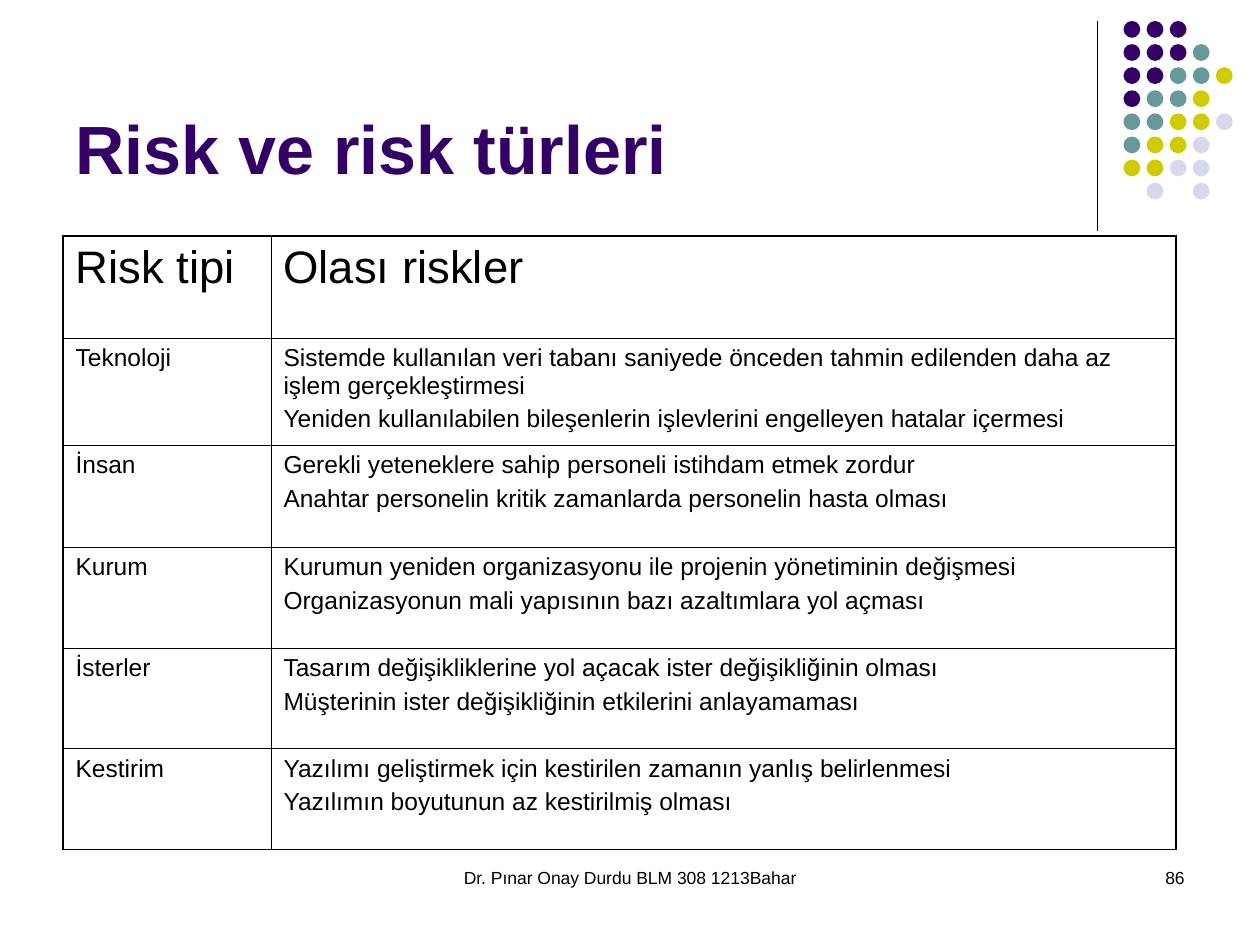
from lxml.etree import SubElement
from pptx import Presentation
from pptx.dml.color import RGBColor
from pptx.enum.shapes import MSO_CONNECTOR, MSO_SHAPE
from pptx.enum.text import MSO_ANCHOR, PP_ALIGN
from pptx.oxml import parse_xml
from pptx.oxml.ns import nsdecls, qn
from pptx.util import Inches, Pt

BLACK = RGBColor(0x00, 0x00, 0x00)
PURPLE = RGBColor(0x33, 0x00, 0x66)
TEAL = RGBColor(0x66, 0x99, 0x99)
OLIVE = RGBColor(0xCC, 0xCC, 0x00)
LILAC = RGBColor(0xD8, 0xD8, 0xEC)

deck = Presentation()
deck.slide_width, deck.slide_height = Inches(10), Inches(7.5)
page = deck.slides.add_slide(deck.slide_layouts[6])

# The page is a grid of 120 by 90 square units
UNIT = deck.slide_width / 120


def grid(*counts):
    return [round(count * UNIT) for count in counts]


def write(frame, *lines, size, color=BLACK, bold=False, align=PP_ALIGN.LEFT,
          anchor=MSO_ANCHOR.TOP, gap=0):
    frame.word_wrap = True
    frame.vertical_anchor = anchor
    for index, line in enumerate(lines):
        para = frame.add_paragraph() if index else frame.paragraphs[0]
        para.alignment = align
        if index:
            para.space_before = Pt(gap)
        span = para.add_run()
        span.text = line
        span.font.name = "Arial"
        span.font.size = Pt(size)
        span.font.bold = bold
        span.font.color.rgb = color


# Vertical rule beside the dots
rule = page.shapes.add_connector(MSO_CONNECTOR.STRAIGHT, *grid(104.5, 2, 104.5, 22))
rule.line.color.rgb = BLACK
rule.line.width = Pt(0.75)
SubElement(rule._element.spPr, qn("a:effectLst"))

# Dot pattern, one letter per dot
DOT_COLORS = {"P": PURPLE, "T": TEAL, "O": OLIVE, "L": LILAC}
DOT_ROWS = ["PPP", "PPPT", "PPTTO", "PTTO", "TTOOL", "TOOL", "OOLL", " L L"]
DOT_PITCH, DOT_SIZE = 2.2, 1.6
dots = page.shapes.add_group_shape()
for row, letters in enumerate(DOT_ROWS):
    for column, letter in enumerate(letters):
        if letter in DOT_COLORS:
            dot = dots.shapes.add_shape(MSO_SHAPE.OVAL, *grid(
                107 + column * DOT_PITCH, 2 + row * DOT_PITCH, DOT_SIZE, DOT_SIZE))
            dot.shadow.inherit = False
            dot.fill.solid()
            dot.fill.fore_color.rgb = DOT_COLORS[letter]
            dot.line.fill.background()

# Title, footer and page number
title = page.shapes.add_textbox(*grid(6, 1.5, 99, 17))
write(title.text_frame, "Risk ve risk türleri", size=39, color=PURPLE, bold=True,
      anchor=MSO_ANCHOR.BOTTOM)
footer = page.shapes.add_textbox(*grid(41, 82, 38, 6))
write(footer.text_frame, "Dr. Pınar Onay Durdu BLM 308 1213Bahar", size=10,
      align=PP_ALIGN.CENTER)
number = page.shapes.add_textbox(*grid(86, 82, 28, 6))
write(number.text_frame, "86", size=10, align=PP_ALIGN.RIGHT)

# Risk table: type, then possible risks
RISKS = [
    ("Risk tipi", ["Olası riskler"]),
    ("Teknoloji", [
        "Sistemde kullanılan veri tabanı saniyede önceden tahmin edilenden daha az "
        "işlem gerçekleştirmesi",
        "Yeniden kullanılabilen bileşenlerin işlevlerini engelleyen hatalar içermesi"]),
    ("İnsan", [
        "Gerekli yeteneklere sahip personeli istihdam etmek zordur",
        "Anahtar personelin kritik zamanlarda personelin hasta olması"]),
    ("Kurum", [
        "Kurumun yeniden organizasyonu ile projenin yönetiminin değişmesi",
        "Organizasyonun mali yapısının bazı azaltımlara yol açması"]),
    ("İsterler", [
        "Tasarım değişikliklerine yol açacak ister değişikliğinin olması",
        "Müşterinin ister değişikliğinin etkilerini anlayamaması"]),
    ("Kestirim", [
        "Yazılımı geliştirmek için kestirilen zamanın yanlış belirlenmesi",
        "Yazılımın boyutunun az kestirilmiş olması"]),
]
COLUMN_WIDTHS = grid(19.8, 86.2)
ROW_HEIGHTS = grid(9.7, 10.2, 9.7, 9.6, 9.6, 9.6)
OUTER, INNER = Pt(1.08), Pt(0.45)

table = page.shapes.add_table(len(RISKS), 2, *grid(6, 22.5, 106, 58.4)).table
table.first_row = table.horz_banding = False
for column, width in zip(table.columns, COLUMN_WIDTHS):
    column.width = width
for row, height in zip(table.rows, ROW_HEIGHTS):
    row.height = height

last = len(RISKS) - 1
for row, (kind, risks) in enumerate(RISKS):
    for column, lines in enumerate([[kind], risks]):
        cell = table.cell(row, column)
        cell.fill.background()
        write(cell.text_frame, *lines, size=14 if row else 26, gap=3.5)

        # Heavier lines around the outside of the table
        outside = {"L": column == 0, "R": column == 1, "T": row == 0, "B": row == last}
        properties = cell._tc.get_or_add_tcPr()
        for place, (side, is_outer) in enumerate(outside.items()):
            properties.insert(place, parse_xml(
                f'<a:ln{side} {nsdecls("a")} w="{OUTER if is_outer else INNER}">'
                f'<a:solidFill><a:srgbClr val="{BLACK}"/></a:solidFill></a:ln{side}>'))

deck.save("out.pptx")
